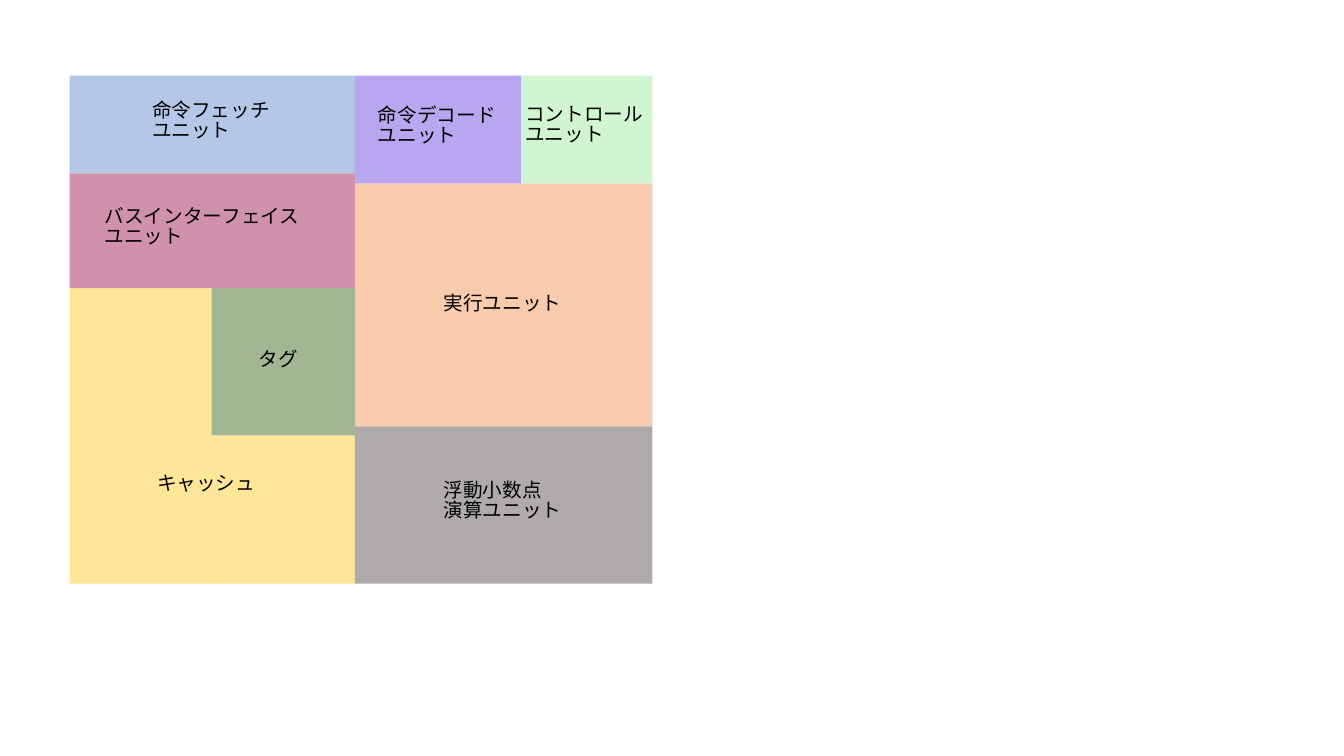
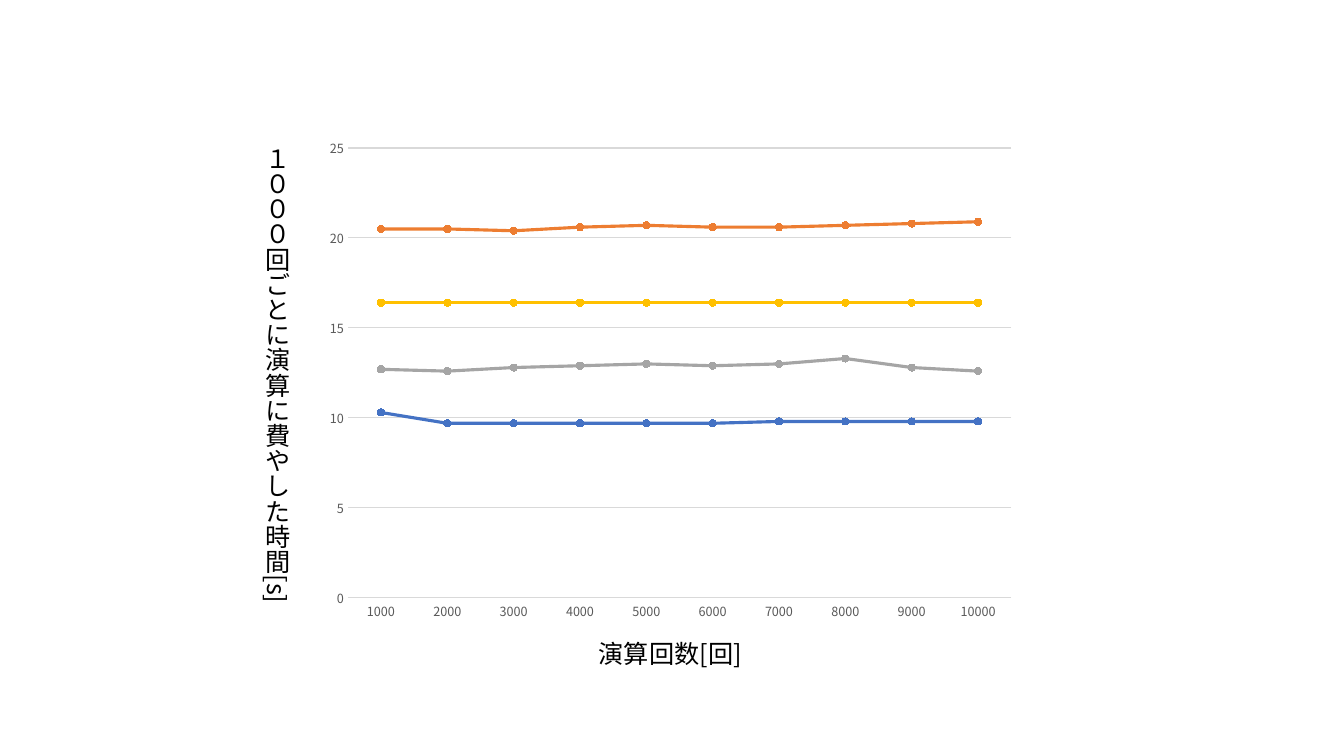
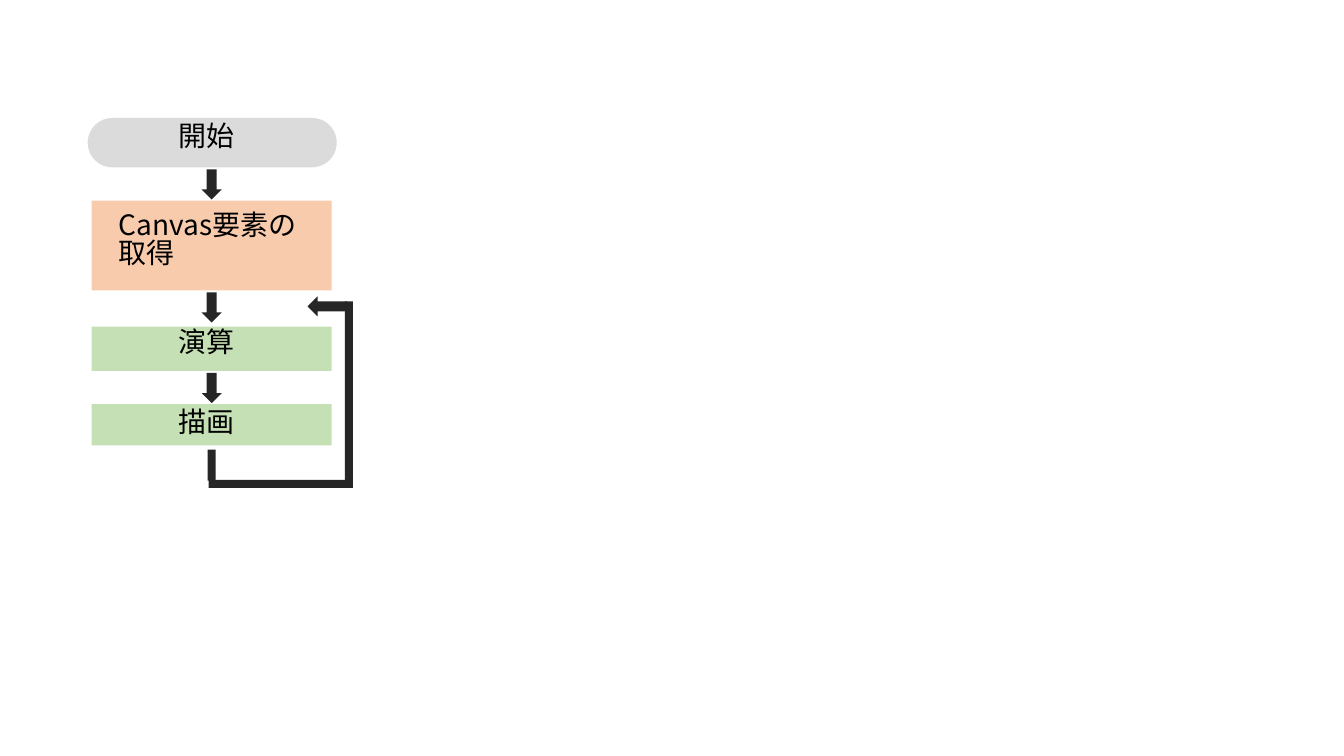
from lxml import etree
from pptx import Presentation
from pptx.chart.data import CategoryChartData
from pptx.dml.color import RGBColor
from pptx.enum.chart import XL_CHART_TYPE, XL_MARKER_STYLE, XL_TICK_MARK
from pptx.enum.shapes import MSO_SHAPE
from pptx.oxml.ns import qn
from pptx.util import Pt

PX = 9144
BLANK_LAYOUT = 6
RECTANGLE = MSO_SHAPE.RECTANGLE
ROUNDED = MSO_SHAPE.ROUNDED_RECTANGLE
DOWN_ARROW = MSO_SHAPE.DOWN_ARROW
LEFT_ARROW = MSO_SHAPE.LEFT_ARROW
LINE_MARKERS = XL_CHART_TYPE.LINE_MARKERS
CIRCLE = XL_MARKER_STYLE.CIRCLE
NO_TICK = XL_TICK_MARK.NONE


def color(hex_string):
    return RGBColor.from_string(hex_string)


class Deck:
    font_name = "Noto Sans CJK JP"
    black = "000000"
    ink = "262626"
    grey = "595959"
    grid = "D9D9D9"
    peach = "F8CBAD"
    yellow = "FFE699"
    green = "C5E0B4"
    line_spacing = 0.84

    def __init__(self, width, height):
        self.presentation = Presentation()
        self.presentation.slide_width = width * PX
        self.presentation.slide_height = height * PX
        self.slide = None

    def new_slide(self):
        layout = self.presentation.slide_layouts[BLANK_LAYOUT]
        self.slide = self.presentation.slides.add_slide(layout)

    def place(self, box):
        return [length * PX for length in box]

    def block(self, box, fill, kind=RECTANGLE):
        shape = self.slide.shapes.add_shape(kind, *self.place(box))
        shape.shadow.inherit = False
        shape.fill.solid()
        shape.fill.fore_color.rgb = color(fill)
        shape.line.fill.background()
        return shape

    def label(self, box, lines, size, vertical=False):
        frame = self.slide.shapes.add_textbox(*self.place(box)).text_frame
        frame.word_wrap = not vertical
        frame.margin_top = 6 * PX
        if vertical:
            frame._txBody.bodyPr.set("vert", "eaVert")
        for index, line in enumerate(lines):
            paragraph = frame.add_paragraph() if index else frame.paragraphs[0]
            paragraph.line_spacing = self.line_spacing
            run = paragraph.add_run()
            run.text = line
            self.style_font(run.font, size, self.black)
            properties = run._r.get_or_add_rPr()
            etree.SubElement(properties, qn("a:ea"), typeface=self.font_name)

    def style_font(self, font, size, hex_string):
        font.name = self.font_name
        font.size = Pt(size)
        font.color.rgb = color(hex_string)

    def style_line(self, line, hex_string, width):
        line.color.rgb = color(hex_string)
        line.width = Pt(width)

    def line_chart(self, box, categories, series_rows, plot_box):
        data = CategoryChartData()
        data.categories = categories
        for name, _, values in series_rows:
            data.add_series(name, values)
        frame = self.slide.shapes.add_chart(LINE_MARKERS, *self.place(box), data)
        chart = frame.chart
        chart.has_legend = False
        chart.has_title = False
        self.style_font(chart.font, 10, self.black)
        for axis in (chart.category_axis, chart.value_axis):
            axis.major_tick_mark = NO_TICK
            axis.minor_tick_mark = NO_TICK
            self.style_font(axis.tick_labels.font, 9, self.grey)
        self.style_line(chart.category_axis.format.line, self.grid, 0.75)
        value_axis = chart.value_axis
        value_axis.minimum_scale = 0
        value_axis.maximum_scale = 25
        value_axis.major_unit = 5
        value_axis.format.line.fill.background()
        self.style_line(value_axis.major_gridlines.format.line, self.grid, 0.75)
        plot = chart.plots[0]
        plot.vary_by_categories = False
        for series, (_, hue, _) in zip(plot.series, series_rows):
            series.smooth = False
            self.style_line(series.format.line, hue, 2.25)
            series.marker.style = CIRCLE
            series.marker.size = 5
            series.marker.format.fill.solid()
            series.marker.format.fill.fore_color.rgb = color(hue)
            self.style_line(series.marker.format.line, hue, 0.75)
        self.fix_plot(chart, plot_box)

    def fix_plot(self, chart, plot_box):
        plot_area = chart._chartSpace.find(".//" + qn("c:plotArea"))
        for layout in plot_area.findall(qn("c:layout")):
            plot_area.remove(layout)
        layout = etree.Element(qn("c:layout"))
        plot_area.insert(0, layout)
        manual = etree.SubElement(layout, qn("c:manualLayout"))
        settings = [("layoutTarget", "inner"), ("xMode", "edge"), ("yMode", "edge")]
        settings += zip("xywh", plot_box)
        for tag, value in settings:
            etree.SubElement(manual, qn("c:" + tag), val=str(value))


def processor_slide(deck):
    deck.new_slide()
    units = [
        ((210, 432, 142, 147), deck.yellow),
        ((69, 286, 142, 293), deck.yellow),
        ((352, 182, 295, 241), deck.peach),
        ((69, 75, 283, 97), "B4C7E7"),
        ((69, 172, 283, 114), "D191AC"),
        ((210, 286, 142, 146), "A1B793"),
        ((352, 423, 295, 156), "AFABAB"),
        ((352, 75, 165, 107), "B8A7F0"),
        ((517, 75, 130, 107), "D1F4D1"),
    ]
    for box, fill in units:
        deck.block(box, fill)
    labels = [
        ((146, 465, 127, 34), ["キャッシュ"]),
        ((141, 95, 138, 57), ["命令フェッチ", "ユニット"]),
        ((430, 286, 138, 34), ["実行ユニット"]),
        ((94, 200, 233, 57), ["バスインターフェイス", "ユニット"]),
        ((430, 472, 138, 57), ["浮動小数点", "演算ユニット"]),
        ((247, 342, 68, 34), ["タグ"]),
        ((365, 100, 138, 57), ["命令デコード", "ユニット"]),
        ((511, 99, 138, 57), ["コントロール", "ユニット"]),
    ]
    for box, lines in labels:
        deck.label(box, lines, 14)


def timing_slide(deck):
    deck.new_slide()
    series_rows = [
        ("Series 1", "ED7D31", [20.5, 20.5, 20.4, 20.6, 20.7, 20.6, 20.6, 20.7, 20.8, 20.9]),
        ("Series 2", "A5A5A5", [12.7, 12.6, 12.8, 12.9, 13, 12.9, 13, 13.3, 12.8, 12.6]),
        ("Series 3", "FFC000", [16.4] * 10),
        ("Series 4", "4472C4", [10.3] + [9.7] * 5 + [9.8] * 4),
    ]
    categories = [str(count) for count in range(1000, 10001, 1000)]
    deck.line_chart((317, 127, 700, 496), categories, series_rows, (0.04, 0.04, 0.94, 0.9))
    deck.label((240, 139, 50, 472), ["１０００回ごとに演算に費やした時間[s]"], 18, vertical=True)
    deck.label((584, 632, 166, 40), ["演算回数[回]"], 18)


def flow_slide(deck):
    deck.new_slide()
    start = deck.block((87, 117, 247, 49), "DBDBDB", ROUNDED)
    start.adjustments[0] = 0.5
    steps = [(199, 89, deck.peach), (324, 44, deck.green), (401, 41, deck.green)]
    for top, height, fill in steps:
        deck.block((91, top, 238, height), fill)
    for top, text in [(117, "開始"), (321, "演算"), (401, "描画")]:
        deck.label((167, top, 76, 44), [text], 20)
    deck.label((108, 205, 205, 77), ["Canvas要素の", "取得"], 20)
    for top in (168, 290, 370):
        deck.block((200, top, 20, 30), deck.ink, DOWN_ARROW)
    deck.block((305, 294, 39, 20), deck.ink, LEFT_ARROW)
    for loop_bar in [(342, 299, 8, 185), (206, 446, 8, 31), (207, 476, 142, 8)]:
        deck.block(loop_bar, deck.ink)


def main():
    deck = Deck(1333, 750)
    processor_slide(deck)
    timing_slide(deck)
    flow_slide(deck)
    deck.presentation.save("out.pptx")


if __name__ == "__main__":
    main()
